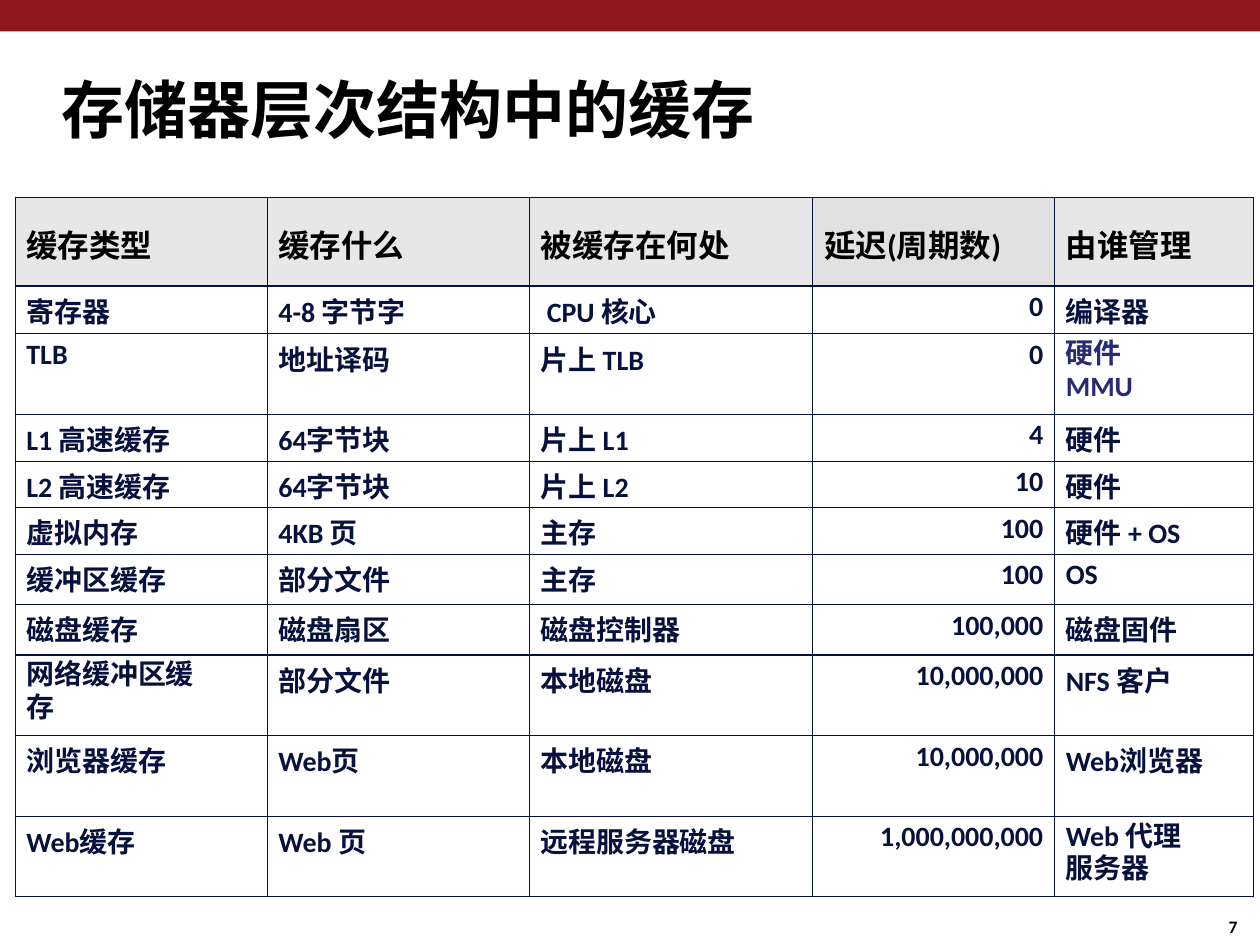
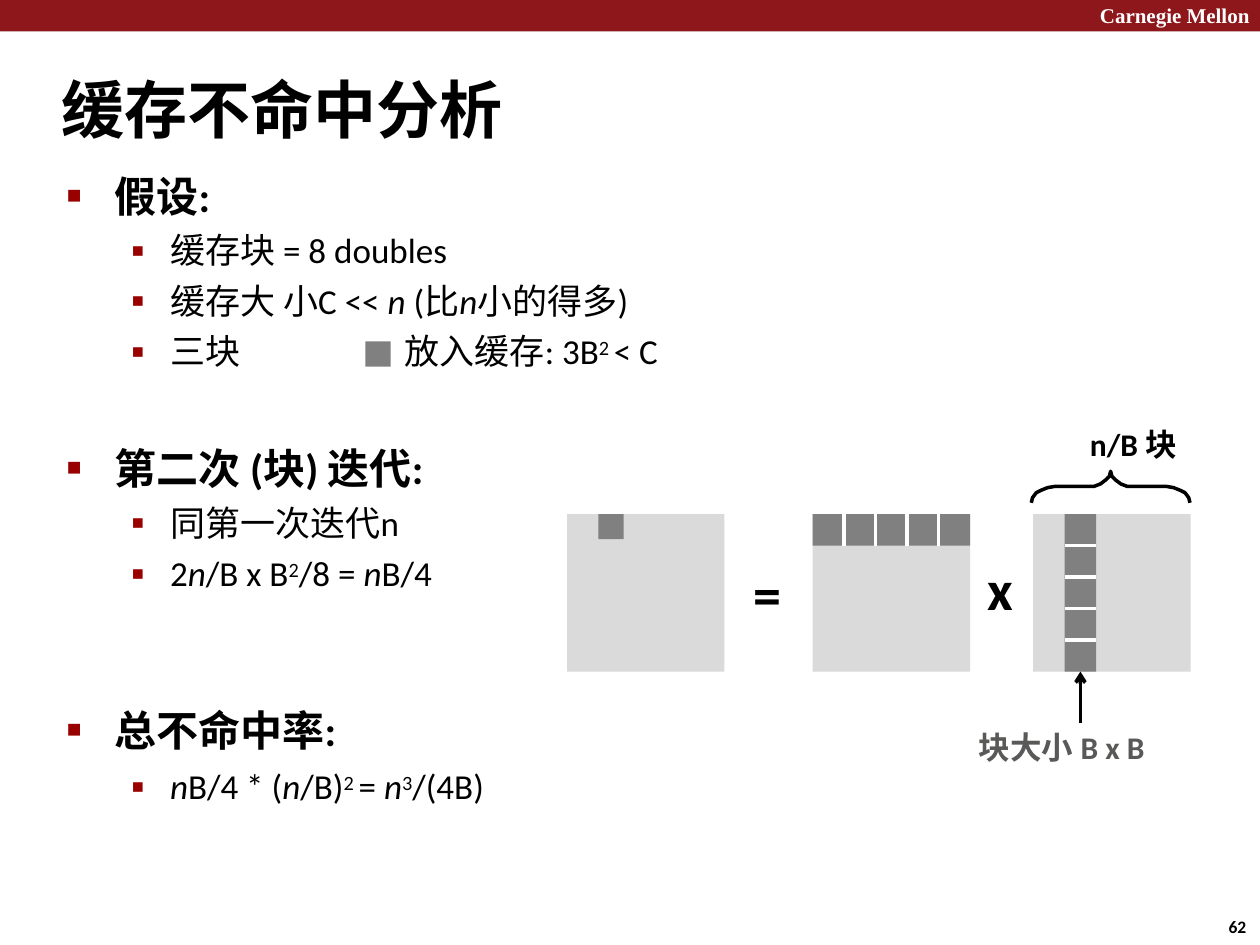
from dataclasses import dataclass

import pptx
import pptx.chart.data
import pptx.dml.color
import pptx.enum.shapes
import pptx.enum.text
import pptx.oxml
import pptx.oxml.ns
import pptx.util
from lxml import etree

COLORS = {
    "band": "8D171A", "text": "000000", "white": "FFFFFF", "bullet": "990000",
    "table_text": "06123D", "mmu_text": "272A76", "header": "E7E7E7",
    "latency_header": "E1E1E1", "matrix": "DADADA", "block": "808080",
    "block_label": "595958",
}
SLIDE_WIDTH, SLIDE_HEIGHT = pptx.util.Inches(10), pptx.util.Inches(7.5)
COLUMNS, ROWS = 100, 75
BLOCKS = 5
MATRIX_SIZE = 12.5
BLOCK = MATRIX_SIZE / BLOCKS
MATRIX_TOP = 40.8
RECTANGLE = pptx.enum.shapes.MSO_SHAPE.RECTANGLE
RIGHT = pptx.enum.text.PP_ALIGN.RIGHT


@dataclass
class Area:
    """Place on the slide grid, in columns and rows."""
    left: float
    top: float
    width: float
    height: float

    def emu(self) -> tuple:
        return across(self.left), down(self.top), across(self.width), down(self.height)


@dataclass
class Style:
    size: float
    color: str = "text"
    bold: bool = True
    font: str = "Calibri"


@dataclass
class Level:
    style: Style
    indent: float
    hanging: float
    bullet: str
    bullet_percent: int
    space_before: float


@dataclass
class Label:
    area: Area
    text: str
    style: Style


@dataclass
class TightCell:
    """Wrapped table cell with exact line spacing."""
    margin_right: float
    color: str = "table_text"


TITLE = Style(36)
PAGE_NUMBER = Style(10)
HEADER = Style(18)
OPERATOR = Style(32)
TOPIC = Level(Style(24), 3.9, -3.8, "■", 58, 0)
DETAIL = Level(Style(20, bold=False), 8.3, -3.1, "▪", 110, 4.8)
LOW_DETAIL = Level(Style(20, bold=False), 3.3, -3.1, "▪", 110, 4.8)

CACHE_COLUMNS = [20, 20.8, 22.5, 19.2, 15.8]
CACHE_ROWS = [7, 3.8, 6.4, 3.7, 3.7, 3.7, 4, 4, 6.4, 6.4, 6.4]
LATENCY_COLUMN = 3
CACHES = [
    ["缓存类型", "缓存什么", "被缓存在何处", "延迟(周期数)", "由谁管理"],
    ["寄存器", "4-8 字节字", "CPU 核心", "0", "编译器"],
    ["TLB", "地址译码", "片上 TLB", "0", "硬件MMU"],
    ["L1 高速缓存", "64字节块", "片上 L1", "4", "硬件"],
    ["L2 高速缓存", "64字节块", "片上 L2", "10", "硬件"],
    ["虚拟内存", "4KB 页", "主存", "100", "硬件 + OS"],
    ["缓冲区缓存", "部分文件", "主存", "100", "OS"],
    ["磁盘缓存", "磁盘扇区", "磁盘控制器", "100,000", "磁盘固件"],
    ["网络缓冲区缓存", "部分文件", "本地磁盘", "10,000,000", "NFS 客户"],
    ["浏览器缓存", "Web页", "本地磁盘", "10,000,000", "Web浏览器"],
    ["Web缓存", "Web 页", "远程服务器磁盘", "1,000,000,000", "Web 代理服务器"],
]
TIGHT_CELLS = {
    "硬件MMU": TightCell(7.5, "mmu_text"),
    "网络缓冲区缓存": TightCell(4.5),
    "Web 代理服务器": TightCell(4.9),
}

# In body text "|" parts the runs, "_" opens an italic run and "^" a raised one.
OUTLINE = [
    (Area(5.2, 13.5, 53.1, 16.3), [
        (TOPIC, "假设:"),
        (DETAIL, "缓存块 = 8 doubles"),
        (DETAIL, "缓存大 小C << |_n |(比|_n|小的得多)"),
        (DETAIL, "三块\t放入缓存: 3B|^2 |< C"),
    ]),
    (Area(5.2, 35.1, 38, 4), [(TOPIC, "第二次 (块) 迭代:")]),
    (Area(10.2, 39.8, 28.2, 7.8), [
        (LOW_DETAIL, "同第一次迭代n"),
        (LOW_DETAIL, "2|_n|/B x B|^2|/8 = |_n|B/4"),
    ]),
    (Area(5.2, 55.9, 22, 4), [(TOPIC, "总不命中率:")]),
    (Area(10.2, 60.7, 32, 3.6),
     [(LOW_DETAIL, "_n|B/4 * (|_n|/B)|^2 |= |_n|^3|/(4B)")]),
]
CACHED_BLOCK_TAB = 26.9
MATRICES = [45, 64.5, 82]
MATRIX_LABELS = [
    Label(Area(59.8, 44.4, 3, 5.7), "=", OPERATOR),
    Label(Area(78.4, 44, 3, 5.7), "x", OPERATOR),
    Label(Area(77.7, 57.8, 17, 3), "块大小 B x B", Style(18, "block_label")),
    Label(Area(86.5, 33.7, 11.2, 3), "n/B 块", Style(18)),
]
BRACE_CENTER = 88.15
BRACE_HALF = [
    (6.3, 39.9), (6.2, 39.5), (5.9, 39.1), (5.5, 38.9), (5, 38.7), (4.4, 38.6),
    (1.9, 38.6), (1.3, 38.6), (0.8, 38.4), (0.4, 38.1), (0.1, 37.8), (0, 37.4),
]


def across(columns: float) -> int:
    return round(columns * SLIDE_WIDTH / COLUMNS)


def down(rows: float) -> int:
    return round(rows * SLIDE_HEIGHT / ROWS)


def rgb(color: str):
    return pptx.dml.color.RGBColor.from_string(COLORS[color])


def child(parent, tag: str, **attributes):
    element = etree.SubElement(parent, pptx.oxml.ns.qn(tag))
    for key, value in attributes.items():
        element.set(key, str(value))
    return element


def format_font(font, style: Style) -> None:
    formats = {"name": style.font, "size": pptx.util.Pt(style.size), "bold": style.bold}
    for key, value in formats.items():
        setattr(font, key, value)
    font.color.rgb = rgb(style.color)


def add_frame(slide, area: Area):
    frame = slide.shapes.add_textbox(*area.emu()).text_frame
    formats = {"word_wrap": True, "margin_left": 0, "margin_top": 0,
               "margin_right": 0, "margin_bottom": 0}
    for key, value in formats.items():
        setattr(frame, key, value)
    return frame


def add_label(slide, label: Label):
    paragraph = add_frame(slide, label.area).paragraphs[0]
    run = paragraph.add_run()
    run.text = label.text
    format_font(run.font, label.style)
    return paragraph


def add_block(slide, area: Area, color: str):
    block = slide.shapes.add_shape(RECTANGLE, *area.emu())
    block.shadow.inherit = False
    block.fill.solid()
    block.fill.fore_color.rgb = rgb(color)
    block.line.fill.background()
    return block


def add_line(slide, start: tuple, end: tuple, color: str):
    line = slide.shapes.add_connector(
        pptx.enum.shapes.MSO_CONNECTOR.STRAIGHT,
        across(start[0]), down(start[1]), across(end[0]), down(end[1]))
    line.line.color.rgb = rgb(color)
    line.line.width = pptx.util.Pt(2)
    child(line._element.spPr, "a:effectLst")
    return line


def start_slide(deck, title: str, number: int):
    """Add a blank slide with the shared band, title and page number."""
    slide = deck.slides.add_slide(deck.slide_layouts[6])
    add_block(slide, Area(0, 0, COLUMNS, 2.5), "band")
    add_label(slide, Label(Area(4.9, 5.6, 90.5, 6.1), title, TITLE))
    page = add_label(slide, Label(Area(97.5, 72.9, 2.2, 1.7), str(number), PAGE_NUMBER))
    page.line_spacing = pptx.util.Pt(10.4)
    return slide


def add_bullet(paragraph, level: Level) -> None:
    properties = paragraph._p.get_or_add_pPr()
    properties.set("marL", str(across(level.indent)))
    properties.set("indent", str(across(level.hanging)))
    child(child(properties, "a:buClr"), "a:srgbClr", val=COLORS["bullet"])
    child(properties, "a:buSzPct", val=level.bullet_percent * 1000)
    child(properties, "a:buFont", typeface="Arial")
    child(properties, "a:buChar", char=level.bullet)
    tabs = child(properties, "a:tabLst")
    for stop in (level.indent, CACHED_BLOCK_TAB):
        child(tabs, "a:tab", pos=across(stop), algn="l")


def add_outline(slide, area: Area, items: list) -> None:
    frame = add_frame(slide, area)
    for index, (level, text) in enumerate(items):
        paragraph = frame.add_paragraph() if index else frame.paragraphs[0]
        add_bullet(paragraph, level)
        if index:
            paragraph.space_before = pptx.util.Pt(level.space_before)
        for part in text.split("|"):
            run = paragraph.add_run()
            run.text = part.lstrip("_^")
            format_font(run.font, level.style)
            run.font.italic = part.startswith("_")
            if part.startswith("^"):
                run.font._element.set("baseline", "26000")


def add_borders(cell) -> None:
    properties = cell._tc.get_or_add_tcPr()
    for index, side in enumerate(("a:lnL", "a:lnR", "a:lnT", "a:lnB")):
        border = etree.Element(pptx.oxml.ns.qn(side), w=str(pptx.util.Pt(0.75)))
        child(child(border, "a:solidFill"), "a:srgbClr", val=COLORS["table_text"])
        properties.insert(index, border)


def fill_cell(cell, text: str, row: int, column: int) -> None:
    is_header = row == 0
    is_latency = column == LATENCY_COLUMN
    tight = TIGHT_CELLS.get(text)
    formats = {
        "margin_left": across(1.4 if text.startswith("CPU") else 0.9),
        "margin_right": across(tight.margin_right if tight else 0.9 if is_latency else 0),
        "margin_top": down(1.8 if is_header else 0.4 if tight else 0.3),
        "margin_bottom": 0,
    }
    for key, value in formats.items():
        setattr(cell, key, value)
    paragraph = cell.text_frame.paragraphs[0]
    run = paragraph.add_run()
    run.text = text
    format_font(run.font, HEADER if is_header else Style(16, tight.color if tight else "table_text"))
    if tight:
        paragraph.line_spacing = pptx.util.Pt(18.7)
    if is_header:
        cell.fill.solid()
        cell.fill.fore_color.rgb = rgb("latency_header" if is_latency else "header")
    else:
        cell.fill.background()
        if is_latency:
            paragraph.alignment = RIGHT
    add_borders(cell)


def add_cache_table(slide) -> None:
    area = Area(1.2, 15.7, sum(CACHE_COLUMNS), sum(CACHE_ROWS))
    table = slide.shapes.add_table(len(CACHE_ROWS), len(CACHE_COLUMNS), *area.emu()).table
    table.first_row = table.horz_banding = False
    for column, width in zip(table.columns, CACHE_COLUMNS):
        column.width = across(width)
    for row, height in zip(table.rows, CACHE_ROWS):
        row.height = down(height)
    for row, texts in enumerate(CACHES):
        for column, text in enumerate(texts):
            fill_cell(table.cell(row, column), text, row, column)


def add_brace(slide) -> None:
    points = [(across(BRACE_CENTER + x), down(y)) for x, y in BRACE_HALF]
    points += [(across(BRACE_CENTER - x), down(y)) for x, y in BRACE_HALF[-2::-1]]
    builder = slide.shapes.build_freeform(*points[0])
    builder.add_line_segments(points[1:], close=False)
    brace = builder.convert_to_shape()
    brace.shadow.inherit = False
    brace.fill.background()
    brace.line.color.rgb = rgb("text")
    brace.line.width = pptx.util.Pt(2)


def add_matrices(slide) -> None:
    """Draw result = block row x block column."""
    for left in MATRICES:
        add_block(slide, Area(left, MATRIX_TOP, MATRIX_SIZE, MATRIX_SIZE), "matrix")
    result, row_left, column_left = MATRICES
    strip_left = column_left + BLOCK
    add_block(slide, Area(result + BLOCK, MATRIX_TOP, 2, 2), "block")
    add_block(slide, Area(row_left, MATRIX_TOP, MATRIX_SIZE, BLOCK), "block")
    column_strip = add_block(slide, Area(strip_left, MATRIX_TOP, BLOCK, MATRIX_SIZE), "block")
    for index in range(1, BLOCKS):
        x, y = row_left + index * BLOCK, MATRIX_TOP + index * BLOCK
        add_line(slide, (x, MATRIX_TOP), (x, MATRIX_TOP + BLOCK), "white")
        add_line(slide, (strip_left, y), (strip_left + BLOCK, y), "white")
    middle = strip_left + BLOCK / 2
    arrow = add_line(slide, (middle, 57.4), (middle, MATRIX_TOP + MATRIX_SIZE), "text")
    arrow.end_connect(column_strip, 2)
    child(arrow.line._get_or_add_ln(), "a:tailEnd", type="arrow")
    add_brace(slide)
    for label in MATRIX_LABELS:
        add_label(slide, label)


def main() -> None:
    deck = pptx.Presentation()
    deck.slide_width, deck.slide_height = SLIDE_WIDTH, SLIDE_HEIGHT

    add_cache_table(start_slide(deck, "存储器层次结构中的缓存", 7))

    analysis = start_slide(deck, "缓存不命中分析", 62)
    university = Style(12, "white", font="Times New Roman")
    add_label(analysis, Label(Area(87.3, 0.2, 12.6, 2.2), "Carnegie Mellon", university))
    for area, items in OUTLINE:
        add_outline(analysis, area, items)
    add_block(analysis, Area(29, 27.1, 2, 2), "block")
    add_matrices(analysis)
    deck.save("out.pptx")


if __name__ == "__main__":
    main()
